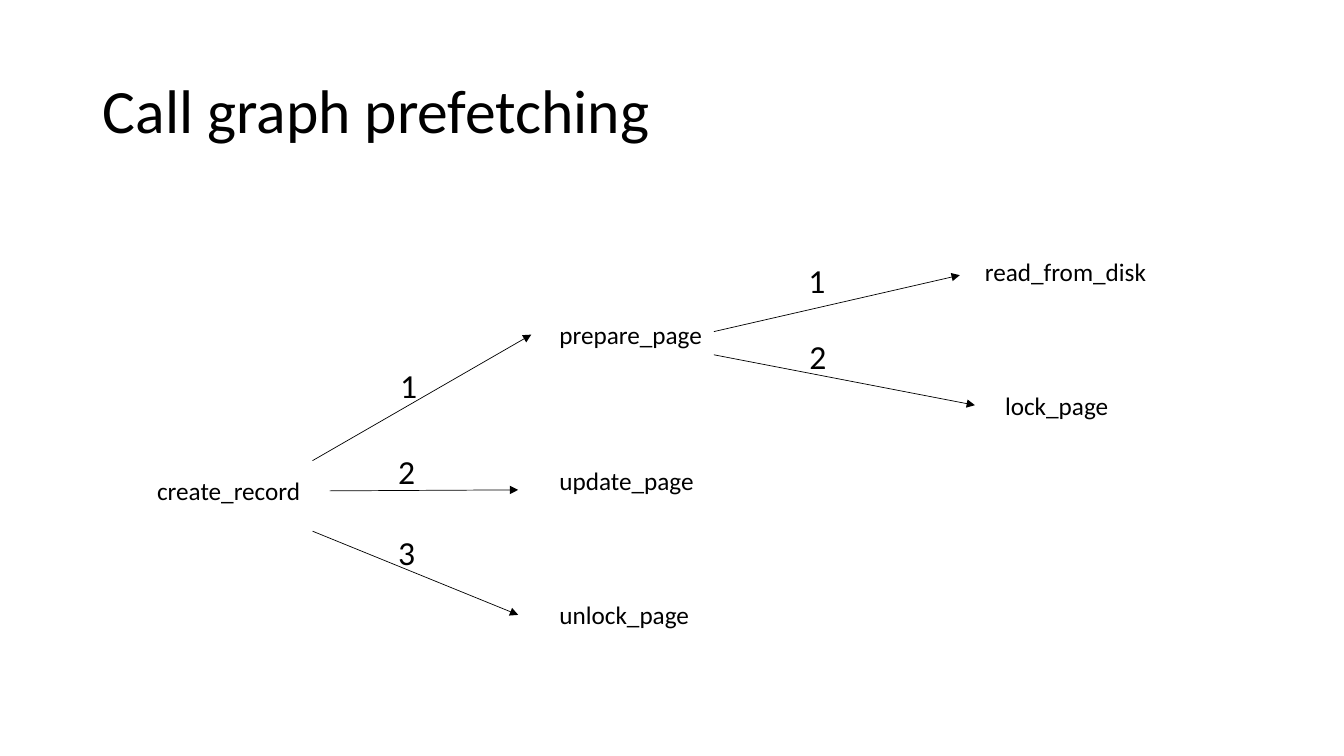
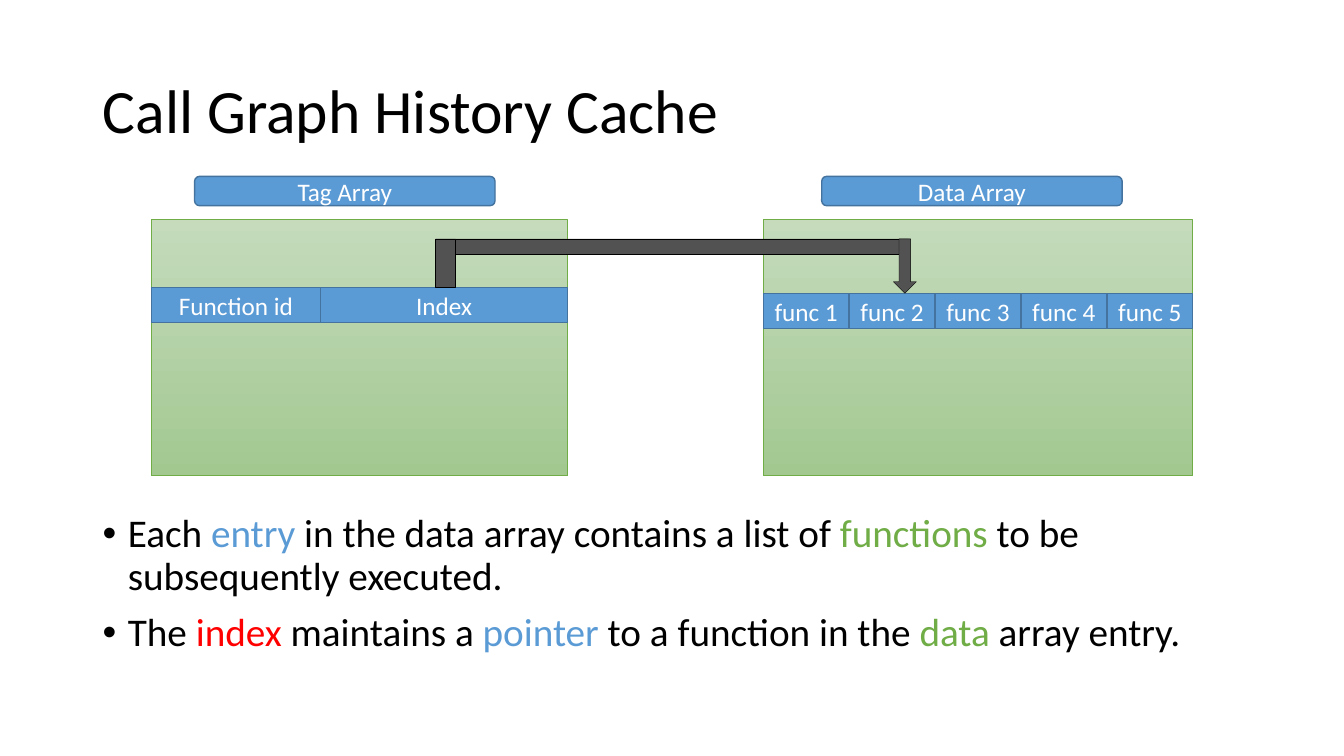
import pptx
import pptx.util
import pptx.dml.color
import pptx.enum.shapes
import pptx.enum.text
import pptx.oxml
from pptx.util import Inches, Pt

COLORS = {
    "text": "000000", "white": "FFFFFF", "blue": "5B9BD5", "blue_edge": "43739E",
    "green": "70AD47", "green_top": "C5DBBC", "green_bottom": "A2C890",
    "red": "FF0000", "gray": "525252",
}
RGB = {name: pptx.dml.color.RGBColor.from_string(c) for name, c in COLORS.items()}
SHAPE = pptx.enum.shapes.MSO_SHAPE
ALIGN = pptx.enum.text.PP_ALIGN
ANCHOR = pptx.enum.text.MSO_ANCHOR

prs = pptx.Presentation()
prs.slide_width, prs.slide_height = Inches(13.33), Inches(7.5)


def add_run(p, text, size, color="text"):
    r = p.add_run()
    r.text = text
    r.font.name = "Calibri"
    r.font.size = Pt(size)
    r.font.color.rgb = RGB[color]


def add_box(s, kind, box, fill, edge, width, text=None):
    """Add a filled preset shape with an optional centred white label."""
    sp = s.shapes.add_shape(kind, *map(Inches, box))
    sp.shadow.inherit = False
    if fill == "gradient":
        sp.fill.gradient()
        sp.fill.gradient_angle = 270
        for stop, name in zip(sp.fill.gradient_stops, ("green_top", "green_bottom")):
            stop.color.rgb = RGB[name]
    else:
        sp.fill.solid()
        sp.fill.fore_color.rgb = RGB[fill]
    sp.line.color.rgb = RGB[edge]
    sp.line.width = Pt(width)
    if text:
        tf = sp.text_frame
        tf.margin_left = tf.margin_right = 0
        tf.vertical_anchor = ANCHOR.MIDDLE
        tf.paragraphs[0].alignment = ALIGN.CENTER
        add_run(tf.paragraphs[0], text, 18, "white")


# Slides and their titles
slides = []
for title in ("Call graph prefetching", "Call Graph History Cache"):
    s = prs.slides.add_slide(prs.slide_layouts[5])
    sp = s.shapes.title
    sp.left, sp.top, sp.width, sp.height = map(Inches, (0.92, 0.4, 11.5, 1.45))
    sp.text_frame.vertical_anchor = ANCHOR.MIDDLE
    p = sp.text_frame.paragraphs[0]
    p.alignment = ALIGN.LEFT
    p.line_spacing = 0.9
    add_run(p, title, 44)
    slides.append(s)
graph, cache = slides

# Slide 1: call graph
calls = [
    (3.1, 4.57, 5.27, 3.32),
    (3.27, 4.87, 5.14, 4.86),
    (3.1, 5.27, 5.14, 6.1),
    (7.08, 3.29, 9.52, 2.73),
    (7.08, 3.52, 9.67, 4.02),
]
for ends in calls:
    line = graph.shapes.add_connector(
        pptx.enum.shapes.MSO_CONNECTOR.STRAIGHT, *map(Inches, ends))
    line.line.color.rgb = RGB["text"]
    line.line.width = Pt(0.5)
    ln = line.line._get_or_add_ln()
    pptx.oxml.xmlchemy.OxmlElement  # element factory used for the raw parts below
    tail = pptx.oxml.xmlchemy.OxmlElement("a:tailEnd")
    tail.set("type", "triangle")
    ln.append(tail)
    line._element.spPr.append(pptx.oxml.xmlchemy.OxmlElement("a:effectLst"))

functions = [
    ("create_record", 1.46, 4.67, 1.64),
    ("prepare_page", 5.45, 3.12, 1.63),
    ("read_from_disk", 9.67, 2.49, 1.82),
    ("lock_page", 9.87, 3.82, 1.24),
    ("update_page", 5.45, 4.57, 1.55),
    ("unlock_page", 5.45, 5.9, 1.5),
]
call_order = [
    ("1", 3.87, 3.57), ("2", 3.85, 4.42), ("3", 3.85, 5.23),
    ("1", 7.92, 2.53), ("2", 7.93, 3.28),
]
labels = [(*f, 0.4, 18) for f in functions] + [(*c, 0.37, 0.5, 24) for c in call_order]
for text, left, top, width, height, size in labels:
    sp = graph.shapes.add_textbox(*map(Inches, (left, top, width, height)))
    tf = sp.text_frame
    tf.word_wrap = False
    tf.auto_size = pptx.enum.text.MSO_AUTO_SIZE.SHAPE_TO_FIT_TEXT
    add_run(tf.paragraphs[0], text, size)

# Slide 2: the two arrays, each with a heading and one row of cells
FUNC_WIDTH = 4.26 / 5
arrays = [
    ("Tag Array", 1.93, 1.5, 4.13, 2.85, [("Function id", 1.68), ("Index", 2.45)]),
    ("Data Array", 8.15, 7.57, 4.26, 2.91,
     [(f"func {i}", FUNC_WIDTH) for i in range(1, 6)]),
]
for heading, heading_left, left, width, row_top, cells in arrays:
    add_box(cache, SHAPE.RECTANGLE, (left, 2.18, width, 2.54), "gradient", "green", 0.5)
    add_box(cache, SHAPE.ROUNDED_RECTANGLE, (heading_left, 1.75, 2.98, 0.29),
            "blue", "blue_edge", 1, heading)
    for text, cell_width in cells:
        add_box(cache, SHAPE.RECTANGLE, (left, row_top, cell_width, 0.35),
                "blue", "blue_edge", 1, text)
        left += cell_width

# Pointer from the index to a function
pointer = [
    (SHAPE.RECTANGLE, (4.32, 2.37, 4.69, 0.15)),
    (SHAPE.RECTANGLE, (4.32, 2.37, 0.2, 0.48)),
    (SHAPE.DOWN_ARROW, (8.86, 2.37, 0.23, 0.54)),
]
for kind, box in pointer:
    add_box(cache, kind, box, "gray", "text", 0.25)

bullets = [
    [("Each ", "text"), ("entry", "blue"),
     (" in the data array contains a list of ", "text"), ("functions", "green"),
     (" to be subsequently executed.", "text")],
    [("The ", "text"), ("index", "red"), (" maintains a ", "text"), ("pointer", "blue"),
     (" to a function in the ", "text"), ("data", "green"), (" array entry.", "text")],
]
tf = cache.shapes.add_textbox(*map(Inches, (0.92, 5.05, 11.5, 1.71))).text_frame
tf.word_wrap = True
for i, runs in enumerate(bullets):
    p = tf.add_paragraph() if i else tf.paragraphs[0]
    p.line_spacing = 0.9
    if i:
        p.space_before = Pt(10)
    pPr = p._p.get_or_add_pPr()
    pPr.set("marL", str(Inches(0.25)))
    pPr.set("indent", str(Inches(-0.25)))
    for tag, key, value in (("a:buFont", "typeface", "Arial"), ("a:buChar", "char", "•")):
        bullet = pptx.oxml.xmlchemy.OxmlElement(tag)
        bullet.set(key, value)
        pPr.append(bullet)
    for text, color in runs:
        add_run(p, text, 28, color)

prs.save("out.pptx")
